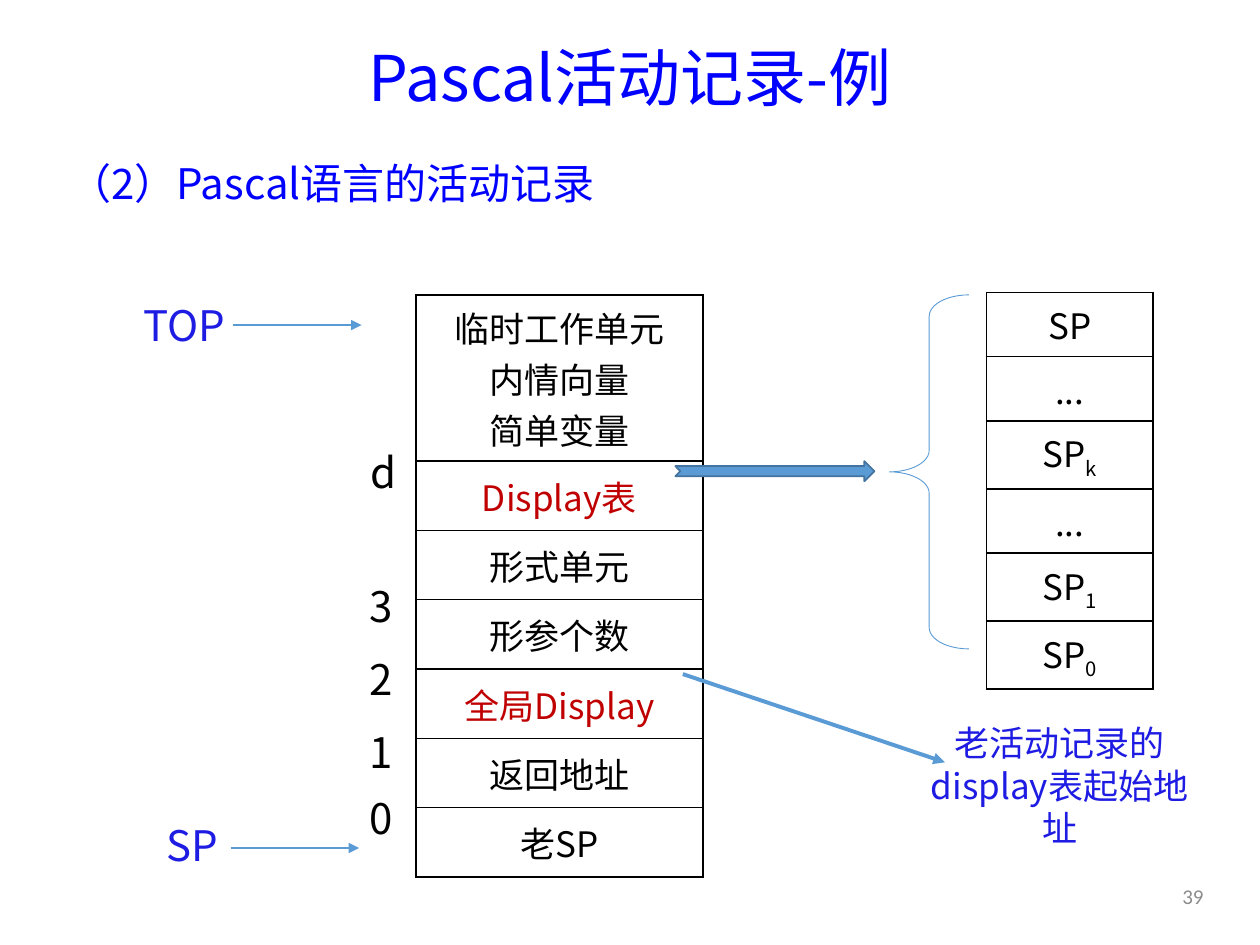
"""Builds the slide on the layout of a Pascal activation record."""
from lxml import etree
from pptx import Presentation
from pptx.dml.color import RGBColor
from pptx.enum.shapes import MSO_CONNECTOR, MSO_SHAPE
from pptx.enum.text import MSO_ANCHOR, PP_ALIGN
from pptx.oxml.ns import qn
from pptx.util import Inches, Pt

LEFT, CENTER, RIGHT = PP_ALIGN.LEFT, PP_ALIGN.CENTER, PP_ALIGN.RIGHT
TOP, MIDDLE = MSO_ANCHOR.TOP, MSO_ANCHOR.MIDDLE
STRAIGHT = MSO_CONNECTOR.STRAIGHT
BRACE, BLOCK_ARROW = MSO_SHAPE.LEFT_BRACE, MSO_SHAPE.NOTCHED_RIGHT_ARROW

COLORS = {"title": "0000FF", "label": "1E1CE3", "black": "000000", "red": "C00000",
          "gray": "8C8C8C", "line": "5B9BD5", "edge": "43739E"}
SC, JP, LATIN = "Noto Sans CJK SC", "Noto Sans CJK JP", "Calibri"

TITLE = "Pascal活动记录-例"
HEADING = "（2）Pascal语言的活动记录"
PAGE_NUMBER = "39"
CALLOUT = "老活动记录的display表起始地址"

# Each row: lines of (text, subscript) pairs, the colour, the height.
RECORD_ROWS = [
    ([("临时工作单元", ""), ("内情向量", ""), ("简单变量", "")], "black", 1.32),
    ([("Display表", "")], "red", 0.55),
    ([("形式单元", "")], "black", 0.55),
    ([("形参个数", "")], "black", 0.55),
    ([("全局Display", "")], "red", 0.55),
    ([("返回地址", "")], "black", 0.55),
    ([("老SP", "")], "black", 0.55),
]
DISPLAY_ROWS = [([(text, subscript)], "black", 0.54 if subscript else 0.51)
                for text, subscript in [("SP", ""), ("...", ""), ("SP", "k"),
                                        ("...", ""), ("SP", "1"), ("SP", "0")]]
POINTERS = [("TOP", 0.8, 2.3), ("SP", 0.87, 6.43)]
OFFSETS = [("d", 2.77, 3.49), ("3", 2.75, 4.56), ("2", 2.75, 5.14),
           ("1", 2.75, 5.72), ("0", 2.75, 6.24)]
ARROWS = [((1.85, 2.58), (2.87, 2.58), 1.5), ((1.83, 6.73), (2.85, 6.73), 1.5),
          ((5.42, 5.35), (7.5, 6.05), 2.25)]


def rgb(color):
    return RGBColor.from_string(COLORS[color])


def apply(target, values):
    for name, value in values.items():
        setattr(target, name, value)


def add_run(paragraph, text, size, color, face=SC, subscript=False):
    run = paragraph.add_run()
    run.text = text
    apply(run.font, {"size": Pt(size), "name": face, "bold": False})
    run.font.color.rgb = rgb(color)
    properties = run.font._element
    etree.SubElement(properties, qn("a:ea"), typeface=face)
    if subscript:
        properties.set("baseline", "-25000")


def add_label(slide, text, box, size, color, face=SC, align=CENTER, anchor=MIDDLE):
    frame = slide.shapes.add_textbox(*map(Inches, box)).text_frame
    apply(frame, {"word_wrap": True, "vertical_anchor": anchor})
    paragraph = frame.paragraphs[0]
    paragraph.alignment = align
    add_run(paragraph, text, size, color, face)
    return paragraph


def add_borders(cell):
    properties = cell._tc.get_or_add_tcPr()
    for side in ("lnL", "lnR", "lnT", "lnB"):
        border = etree.SubElement(properties, qn(f"a:{side}"), w=str(Pt(1)))
        fill = etree.SubElement(border, qn("a:solidFill"))
        etree.SubElement(fill, qn("a:srgbClr"), val=COLORS["black"])


def add_stack(slide, rows, left, top, width):
    box = left, top, width, sum(height for _, _, height in rows)
    table = slide.shapes.add_table(len(rows), 1, *map(Inches, box)).table
    apply(table, {"first_row": False, "horz_banding": False})
    for index, (lines, color, height) in enumerate(rows):
        table.rows[index].height = Inches(height)
        cell = table.cell(index, 0)
        cell.vertical_anchor = MIDDLE
        add_borders(cell)
        cell.fill.background()
        frame = cell.text_frame
        for number, (text, subscript) in enumerate(lines):
            paragraph = frame.add_paragraph() if number else frame.paragraphs[0]
            paragraph.alignment = CENTER
            add_run(paragraph, text, 20, color)
            if subscript:
                add_run(paragraph, subscript, 20, color, subscript=True)


def add_arrow(slide, start, end, weight):
    arrow = slide.shapes.add_connector(STRAIGHT, *map(Inches, start + end))
    arrow.line.color.rgb = rgb("line")
    arrow.line.width = Pt(weight)
    etree.SubElement(arrow.line._get_or_add_ln(), qn("a:tailEnd"), type="triangle")
    etree.SubElement(arrow._element.spPr, qn("a:effectLst"))


def add_outline(slide, kind, box, color, weight):
    shape = slide.shapes.add_shape(kind, *map(Inches, box))
    shape.shadow.inherit = False
    shape.line.color.rgb = rgb(color)
    shape.line.width = Pt(weight)
    return shape


def main():
    deck = Presentation()
    apply(deck, {"slide_width": Inches(10), "slide_height": Inches(7.5)})
    slide = deck.slides.add_slide(deck.slide_layouts[5])

    title = slide.shapes.title
    apply(title, {"left": Inches(0.69), "top": Inches(0.28),
                  "width": Inches(8.62), "height": Inches(0.73)})
    title.text_frame.vertical_anchor = MIDDLE
    title_line = title.text_frame.paragraphs[0]
    apply(title_line, {"alignment": CENTER, "line_spacing": 0.9})
    add_run(title_line, TITLE, 36, "title", JP)

    heading = add_label(slide, HEADING, (0.45, 1.2, 4.76, 0.64), 24, "title",
                        align=LEFT, anchor=TOP)
    heading.space_after = Pt(6)
    indent = heading._p.get_or_add_pPr()
    indent.set("marL", str(Inches(0.25)))
    indent.set("indent", str(Inches(-0.25)))
    add_label(slide, PAGE_NUMBER, (9.2, 6.95, 0.45, 0.33), 12, "gray", LATIN, RIGHT)

    add_stack(slide, RECORD_ROWS, 3.3, 2.34, 2.28)
    for text, left, top in POINTERS:
        add_label(slide, text, (left, top, 1.32, 0.55), 24, "label")
    for text, left, top in OFFSETS:
        add_label(slide, text, (left, top, 0.55, 0.5), 24, "black")

    add_stack(slide, DISPLAY_ROWS, 7.83, 2.32, 1.32)
    brace = add_outline(slide, BRACE, (7.06, 2.34, 0.63, 2.81), "line", 0.5)
    brace.fill.background()
    brace.adjustments[0] = 0.27
    block_arrow = add_outline(slide, BLOCK_ARROW, (5.36, 3.66, 1.58, 0.16), "edge", 1)
    block_arrow.fill.solid()
    block_arrow.fill.fore_color.rgb = rgb("line")

    add_label(slide, CALLOUT, (7.16, 5.89, 2.5, 0.68), 20, "label")
    for start, end, weight in ARROWS:
        add_arrow(slide, start, end, weight)

    deck.save("out.pptx")


if __name__ == "__main__":
    main()
